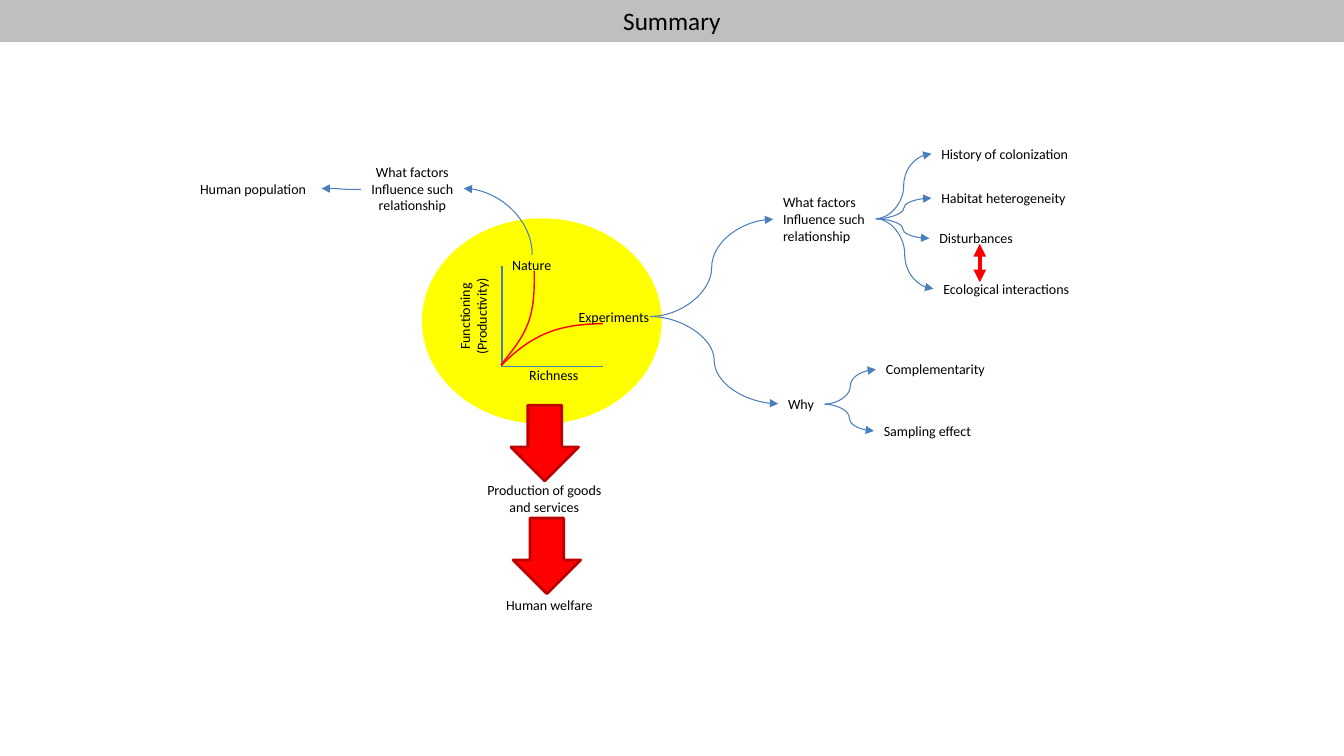
from pptx import Presentation
from pptx.dml.color import RGBColor
from pptx.enum.shapes import MSO_CONNECTOR as Link, MSO_SHAPE as Shape
from pptx.enum.text import MSO_ANCHOR as Anchor, MSO_AUTO_SIZE as Fit, PP_ALIGN as Align
from pptx.oxml.ns import qn
from pptx.util import Inches, Pt
from lxml.etree import SubElement

BLACK = RGBColor(0x00, 0x00, 0x00)
GRAY = RGBColor(0xBF, 0xBF, 0xBF)
YELLOW = RGBColor(0xFF, 0xFF, 0x00)
RED = RGBColor(0xFF, 0x00, 0x00)
SCARLET = RGBColor(0xFA, 0x00, 0x00)
MAROON = RGBColor(0xC0, 0x00, 0x00)
BLUE = RGBColor(0x4B, 0x7E, 0xBC)

CELL = Inches(0.1)
COLS, ROWS = 133.33, 75
FACTORS = "What factors\nInfluence such relationship"


def grid(*cells):
    return [round(cell * CELL) for cell in cells]


class Board:
    face = "Calibri"
    size = 10

    def __init__(self, slide):
        self.shapes = slide.shapes

    def style(self, frame, words, size, align):
        frame.text = words
        for line in frame.paragraphs:
            line.alignment = align
            line.font.name = self.face
            line.font.size = Pt(size)
            line.font.color.rgb = BLACK

    def text(self, words, x, y, w, h, align=Align.LEFT, wrap=True, pad=True, turn=0):
        box = self.shapes.add_textbox(*grid(x, y, w, h))
        frame = box.text_frame
        frame.word_wrap = wrap
        frame.auto_size = Fit.SHAPE_TO_FIT_TEXT
        if not pad:
            frame.margin_left = frame.margin_right = 0
            frame.margin_top = frame.margin_bottom = 0
        self.style(frame, words, self.size, align)
        box.rotation = turn

    def label(self, words, x, y, w, h, align=Align.LEFT, turn=0):
        self.text(words, x, y, w, h, align, False, False, turn)

    def shape(self, kind, x, y, w, h, fill, edge, width=2):
        item = self.shapes.add_shape(kind, *grid(x, y, w, h))
        item.shadow.inherit = False
        item.fill.solid()
        item.fill.fore_color.rgb = fill
        item.line.color.rgb = edge
        item.line.width = Pt(width)
        return item

    def title(self, words, h):
        bar = self.shape(Shape.RECTANGLE, 0, 0, COLS, h, GRAY, GRAY, 0.75)
        bar.text_frame.vertical_anchor = Anchor.MIDDLE
        self.style(bar.text_frame, words, 18, Align.CENTER)

    def line(self, start, end, kind=Link.STRAIGHT, ends=(), color=BLUE, width=0.75):
        link = self.shapes.add_connector(kind, *grid(*start, *end))
        link.line.color.rgb = color
        link.line.width = Pt(width)
        props = link._element.spPr
        for end_tag in ends:
            SubElement(props.find(qn("a:ln")), qn(end_tag), type="triangle")
        SubElement(props, qn("a:effectLst"))
        return props

    def curve(self, start, end):
        return self.line(start, end, Link.CURVE, ["a:tailEnd"])

    def bend(self, start, end):
        props = self.curve(start, end)
        props.find(qn("a:xfrm")).set("rot", "16200000")
        props.find(qn("a:prstGeom")).set("prst", "curvedConnector2")

    def branch(self, start, words, x, y, w, h=2.7, wrap=True):
        self.text(words, x, y, w, h, wrap=wrap)
        self.curve(start, (x, y + h / 2))

    def trend(self, *knots, steps=32):
        spots = []
        for step in range(steps + 1):
            t = step / steps
            parts = ((1 - t) ** 3, 3 * t * (1 - t) ** 2, 3 * t * t * (1 - t), t ** 3)
            spots.append(grid(*(sum(p * k for p, k in zip(parts, axis)) for axis in zip(*knots))))
        pen = self.shapes.build_freeform(*spots[0])
        pen.add_line_segments(spots[1:], close=False)
        item = pen.convert_to_shape()
        item.shadow.inherit = False
        item.fill.background()
        item.line.color.rgb = RED
        item.line.width = Pt(1)


def main():
    deck = Presentation()
    deck.slide_width, deck.slide_height = grid(COLS, ROWS)
    board = Board(deck.slides.add_slide(deck.slide_layouts[6]))

    board.title("Summary", 4.1)
    board.shape(Shape.OVAL, 42, 21.8, 23.5, 20.1, YELLOW, YELLOW)

    corner = (49.8, 36.4)
    board.line((49.8, 26.4), corner)
    board.line((59.8, 36.4), corner)
    board.label("Richness", 52.5, 36.4, 4.9, 1.7)
    board.label("Functioning\n(Productivity)", 43.1, 29.7, 7.7, 3.4, Align.CENTER, 270)
    board.trend((59.8, 32.1), (56.3, 32.2), (53.3, 32.6), (49.8, 36.2))
    board.label("Experiments", 57.3, 30.6, 7.1, 1.7, Align.RIGHT)
    board.trend((49.7, 36.2), (52.3, 33), (53.1, 31.7), (53, 26.9))
    board.label("Nature", 50.8, 25.4, 4, 1.7)

    tests, why, factors = (64.5, 31.4), (81.8, 40.1), (86.9, 21.7)
    board.branch(tests, "Why", 77.2, 38.7, 4.6, wrap=False)
    board.branch(tests, FACTORS, 76.7, 18.7, 10.2, 6.1)
    for start, words, x, y, w in (
        (why, "Sampling effect", 86.7, 41.4, 13.4),
        (why, "Complementarity", 86.9, 35.3, 13.4),
        (factors, "Disturbances", 92.2, 22.3, 13.4),
        (factors, "History of colonization", 92.4, 13.9, 16.6),
        (factors, "Habitat heterogeneity", 92.4, 18.3, 20.6),
        (factors, "Ecological interactions", 92.6, 27.3, 17.6),
    ):
        board.branch(start, words, x, y, w)
    board.line((97.2, 24.2), (97.2, 28), ends=["a:headEnd", "a:tailEnd"], color=SCARLET, width=3)

    board.bend((46.1, 25.4), (52.7, 18.6))
    board.text(FACTORS, 35.8, 15.7, 10.2, 6.1, Align.CENTER)
    board.curve((35.8, 18.8), (31.9, 18.7))
    board.text("Human population", 18.3, 17.4, 13.6, 2.7, Align.CENTER)

    for x, y in ((50.7, 40.2), (50.9, 51.4)):
        board.shape(Shape.DOWN_ARROW, x, y, 6.7, 7.5, RED, MAROON)
    board.text("Production of goods and services", 46.5, 47.3, 15, 4.4, Align.CENTER)
    board.text("Human welfare", 47, 58.7, 15, 2.7, Align.CENTER)

    deck.save("out.pptx")


if __name__ == "__main__":
    main()
